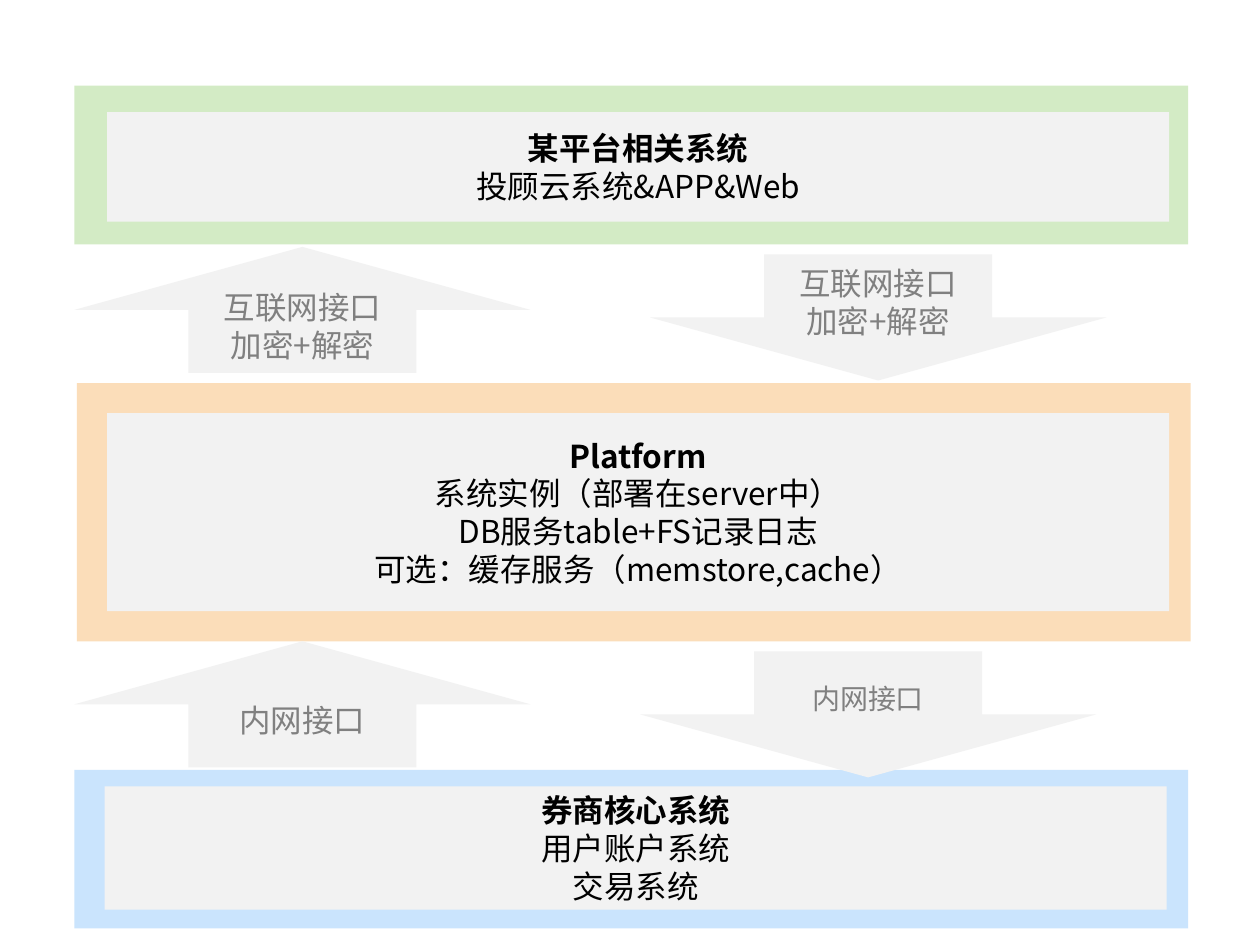
from lxml import etree
from pptx import Presentation
from pptx.dml.color import RGBColor
from pptx.enum.shapes import MSO_SHAPE
from pptx.enum.text import MSO_ANCHOR, PP_ALIGN
from pptx.oxml.ns import qn
from pptx.util import Inches, Pt

RECT = MSO_SHAPE.RECTANGLE
UP = MSO_SHAPE.UP_ARROW
DOWN = MSO_SHAPE.DOWN_ARROW
MIDDLE = MSO_ANCHOR.MIDDLE
CENTER = PP_ALIGN.CENTER

FONT = "Noto Sans CJK SC"
PANEL, BLACK, GRAY = "F2F2F2", "000000", "808080"
BAND_W, PANEL_W = 8.84, 8.43
ARROW_W, ARROW_H = 3.62, 1


def rgb(value):
    return RGBColor.from_string(value)


def add_block(s, kind, x, y, w, h, fill, alpha=None):
    sp = s.shapes.add_shape(kind, Inches(x), Inches(y), Inches(w), Inches(h))
    sp.shadow.inherit = False
    sp.line.fill.background()
    sp.fill.solid()
    sp.fill.fore_color.rgb = rgb(fill)
    if alpha is not None:
        color = sp.fill._xPr.find(".//" + qn("a:srgbClr"))
        etree.SubElement(color, qn("a:alpha"), val=str(alpha * 1000))
    return sp


def add_lines(sp, lines, color, size=18, bold_first=False):
    tf = sp.text_frame
    tf.word_wrap = True
    tf.vertical_anchor = MIDDLE
    for i, line in enumerate(lines):
        p = tf.add_paragraph() if i else tf.paragraphs[0]
        p.alignment = CENTER
        r = p.add_run()
        r.text = line
        r.font.size = Pt(size)
        r.font.bold = bold_first and i == 0
        r.font.name = FONT
        r.font.color.rgb = rgb(color)
        # East Asian typeface
        etree.SubElement(r.font._element, qn("a:ea"), typeface=FONT)


def add_panel(s, x, y, h, lines):
    sp = add_block(s, RECT, x, y, PANEL_W, h, PANEL)
    add_lines(sp, lines, BLACK, bold_first=True)


def add_arrow(s, kind, x, y, lines, size=18):
    sp = add_block(s, kind, x, y, ARROW_W, ARROW_H, PANEL)
    add_lines(sp, lines, GRAY, size)


def main():
    prs = Presentation()
    prs.slide_width, prs.slide_height = Inches(10), Inches(7.5)
    s = prs.slides.add_slide(prs.slide_layouts[6])

    # Coloured layer bands
    for x, y, h, color in [(0.59, 0.68, 1.26, "70BF41"),
                           (0.59, 6.11, 1.26, "51A7F9"),
                           (0.61, 3.04, 2.05, "F39019")]:
        add_block(s, RECT, x, y, BAND_W, h, color, alpha=30)

    # System panels
    add_panel(s, 0.85, 0.89, 0.87, ["某平台相关系统", "投顾云系统&APP&Web"])
    add_panel(s, 0.85, 3.28, 1.57, ["Platform", "系统实例（部署在server中）",
                                    "DB服务table+FS记录日志",
                                    "可选：缓存服务（memstore,cache）"])
    add_panel(s, 0.83, 6.24, 0.98, ["券商核心系统", "用户账户系统", "交易系统"])

    # Interface arrows between layers
    internet = ["互联网接口", "加密+解密"]
    intranet = ["内网接口"]
    add_arrow(s, UP, 0.59, 1.96, internet)
    add_arrow(s, UP, 0.59, 5.09, intranet)
    add_arrow(s, DOWN, 5.16, 2.02, internet)
    add_arrow(s, DOWN, 5.08, 5.17, intranet, size=16)

    prs.save("out.pptx")


main()
